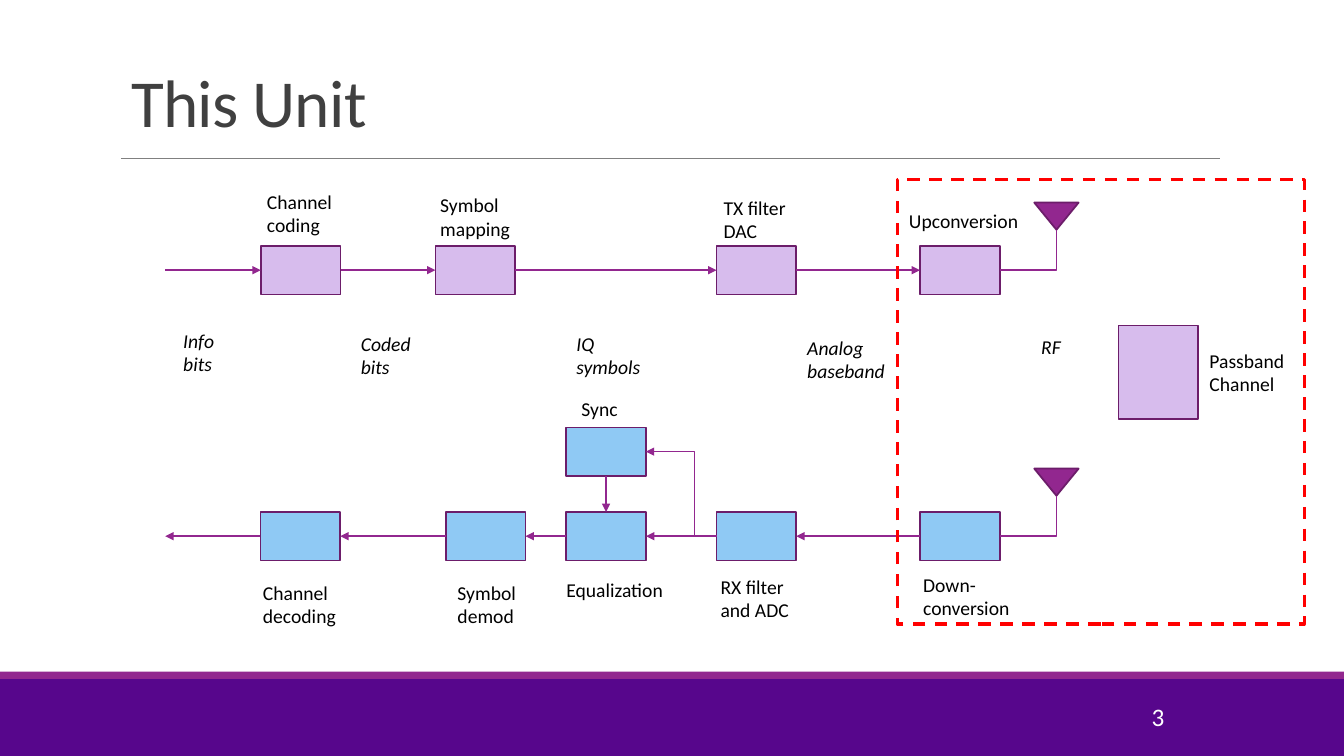
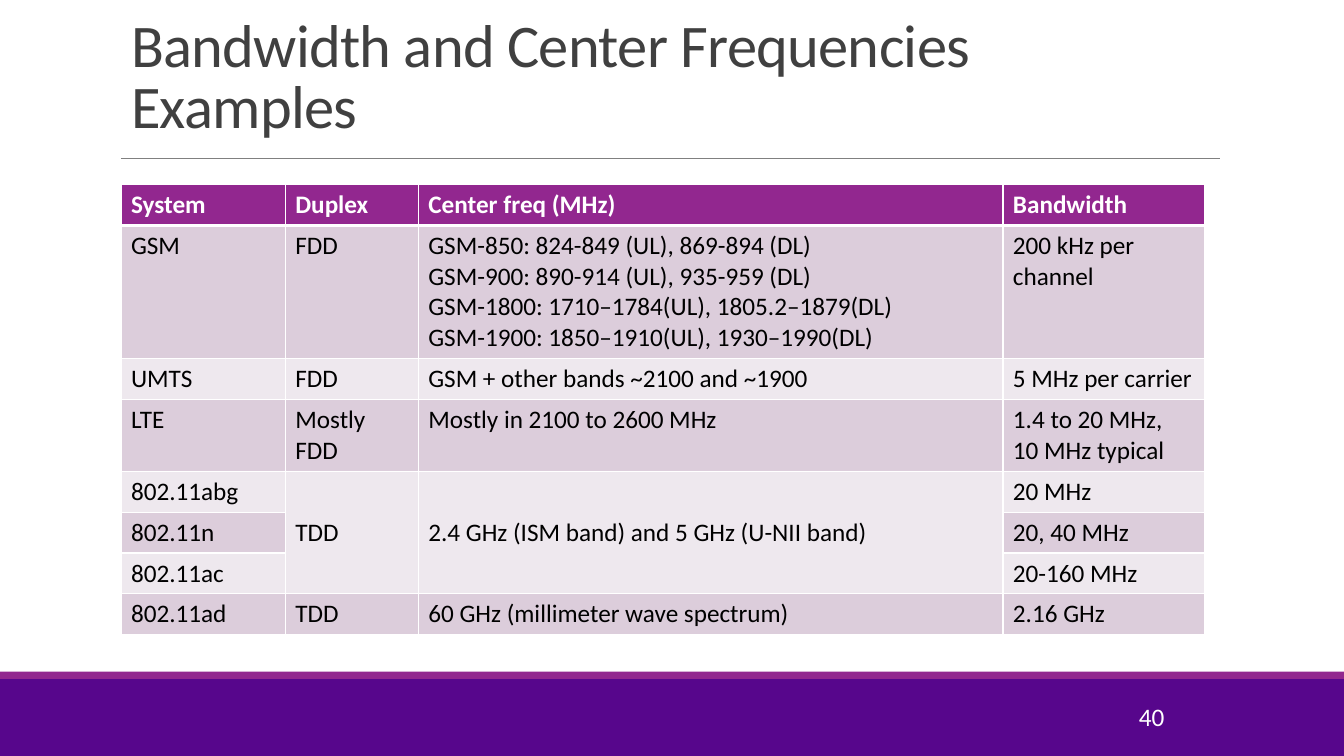
from lxml import etree
from pptx import Presentation
from pptx.dml.color import RGBColor
from pptx.enum import dml, shapes, text
from pptx.oxml import ns
from pptx.util import Pt

# Shared colours and type
WHITE = RGBColor(0xFF, 0xFF, 0xFF)
BLACK = RGBColor(0x00, 0x00, 0x00)
TITLE_GRAY = RGBColor(0x40, 0x40, 0x40)
RULE_GRAY = RGBColor(0x80, 0x80, 0x80)
DEEP_PURPLE = RGBColor(0x57, 0x06, 0x8C)
PURPLE = RGBColor(0x92, 0x27, 0x8F)
OUTLINE = RGBColor(0x6C, 0x1D, 0x6A)
LILAC = RGBColor(0xD7, 0xBC, 0xED)
SKY = RGBColor(0x8F, 0xC9, 0xF4)
RED = RGBColor(0xFF, 0x00, 0x00)
BANDS = (RGBColor(0xDC, 0xCD, 0xDB), RGBColor(0xEE, 0xE8, 0xEE))
FONT = "Calibri"

# Diagram grid, in points
BOX_WIDTH, BOX_HEIGHT = 57, 34.6
TRANSMIT_Y, RECEIVE_Y, SYNC_Y = 193, 383, 322.6
LINE_START_X = 118
ANTENNA_X, ANTENNA_WIDTH, ANTENNA_HEIGHT, FEED_HEIGHT = 754.6, 31.7, 19.4, 28.9
TOP, LEFT, BOTTOM, RIGHT = range(4)  # connection sites of a rectangle

TRANSMIT_BOXES = {"coding": 186.3, "mapping": 311, "filter": 511.8, "upconversion": 657.2}
RECEIVE_BOXES = {"downconversion": 657.2, "filter": 511.8, "equalization": 404.4,
                 "demod": 318.4, "decoding": 186}

# Text, left, top, width
BLOCK_LABELS = [
    ("Channel coding", 183.6, 131.8, 75.6),
    ("Symbol\vmapping", 307.4, 134.6, 64.8),
    ("TX filter DAC", 509.8, 136.1, 74.2),
    ("Upconversion", 642.2, 145.4, 92.9),
    ("Passband\nChannel", 856.8, 245.5, 92.9),
    ("Down-conversion", 652.3, 405.4, 92.9),
    ("RX filter\vand ADC", 507.6, 406.8, 92.9),
    ("Sync", 408.2, 280.1, 92.9),
    ("Equalization", 397.4, 409, 92.9),
    ("Symbol\vdemod", 319.7, 411.1, 68.4),
    ("Channel\vdecoding", 180.7, 411.1, 68.4),
]
SIGNAL_LABELS = [
    ("Info bits", 123.8, 231.1, 56.2),
    ("Coded bits", 250.6, 233.3, 56.2),
    ("IQ symbols", 404.6, 233.3, 68.4),
    ("Analog baseband", 569.5, 236.2, 74.9),
    ("RF", 736.6, 235.4, 41),
]

# Frequency table
COLUMN_WIDTHS = (117.4, 95, 417.6, 144)
ROW_HEIGHT, LINE_HEIGHT = 29.2, 22
FREQUENCY_ROWS = [
    ("System", "Duplex", "Center freq (MHz)", "Bandwidth"),
    ("GSM", "FDD",
     "GSM-850: 824-849 (UL), 869-894 (DL)\n"
     "GSM-900: 890-914 (UL), 935-959 (DL)\n"
     "GSM-1800: 1710–1784(UL), 1805.2–1879(DL)\n"
     "GSM-1900: 1850–1910(UL), 1930–1990(DL)", "200 kHz per channel"),
    ("UMTS", "FDD", "GSM + other bands ~2100 and ~1900", "5 MHz per carrier"),
    ("LTE", "Mostly FDD", "Mostly in 2100 to 2600 MHz", "1.4 to 20 MHz,\n10 MHz typical"),
    ("802.11abg", "TDD", "2.4 GHz (ISM band) and 5 GHz (U-NII band)", "20 MHz"),
    ("802.11n", "", "", "20, 40 MHz"),
    ("802.11ac", "", "", "20-160 MHz"),
    ("802.11ad", "TDD", "60 GHz (millimeter wave spectrum)", "2.16 GHz"),
]
MERGED_ROWS, MERGED_COLUMNS = (4, 6), (1, 2)


def set_attributes(target, values):
    for name, value in values.items():
        setattr(target, name, value)


def write_text(frame, content, color, paragraph_format=None, **font_format):
    """Fill a text frame; a newline starts a paragraph, a vertical tab a line."""
    frame.text = content
    for paragraph in frame.paragraphs:
        set_attributes(paragraph, paragraph_format or {})
        for run in paragraph.runs:
            set_attributes(run.font, {"name": FONT, **font_format})
            run.font.color.rgb = color


def add_text(slide, content, left, top, width, height, color, anchor=text.MSO_ANCHOR.TOP,
             paragraph_format=None, **font_format):
    frame = slide.shapes.add_textbox(Pt(left), Pt(top), Pt(width), Pt(height)).text_frame
    set_attributes(frame, {"word_wrap": True, "vertical_anchor": anchor})
    write_text(frame, content, color, paragraph_format, **font_format)


def add_shape(slide, left, top, width, height, fill=None, line=None, line_width=1.25,
              kind=shapes.MSO_SHAPE.RECTANGLE):
    shape = slide.shapes.add_shape(kind, Pt(left), Pt(top), Pt(width), Pt(height))
    shape.shadow.inherit = False
    if fill is None:
        shape.fill.background()
    else:
        shape.fill.solid()
        shape.fill.fore_color.rgb = fill
    if line is None:
        shape.line.fill.background()
    else:
        shape.line.color.rgb = line
        shape.line.width = Pt(line_width)
    return shape


def add_line(slide, begin=(0, 0), end=(0, 0), color=PURPLE, width=1, arrow=None, bent=False):
    """Draw a line; arrow is None, "headEnd" (at begin) or "tailEnd" (at end)."""
    kind = shapes.MSO_CONNECTOR.ELBOW if bent else shapes.MSO_CONNECTOR.STRAIGHT
    connector = slide.shapes.add_connector(kind, *(Pt(value) for value in (*begin, *end)))
    connector.line.color.rgb = color
    connector.line.width = Pt(width)
    properties = connector._element.spPr
    if bent:  # a single corner: across, then up or down
        properties.find(ns.qn("a:prstGeom")).set("prst", "bentConnector2")
    if arrow:
        etree.SubElement(connector.line._get_or_add_ln(), ns.qn("a:" + arrow), type="triangle")
    etree.SubElement(properties, ns.qn("a:effectLst"))
    return connector


def link(slide, source, source_site, target, target_site):
    connector = add_line(slide, arrow="tailEnd")
    connector.begin_connect(source, source_site)
    connector.end_connect(target, target_site)


def add_box(slide, left, center_y, fill, height=BOX_HEIGHT):
    return add_shape(slide, left, center_y - height / 2, BOX_WIDTH, height, fill, OUTLINE)


def add_antenna(slide, box_left, center_y):
    tip_y = center_y - FEED_HEIGHT
    antenna = add_shape(slide, ANTENNA_X - ANTENNA_WIDTH / 2, tip_y - ANTENNA_HEIGHT,
                        ANTENNA_WIDTH, ANTENNA_HEIGHT, PURPLE, OUTLINE,
                        kind=shapes.MSO_SHAPE.ISOSCELES_TRIANGLE)
    antenna.rotation = 180
    add_line(slide, (box_left + BOX_WIDTH, center_y), (ANTENNA_X, tip_y), bent=True)


def add_chain(slide, lefts, center_y, fill, out_site, in_site):
    """Draw a row of boxes, each linked to the next one."""
    boxes = {name: add_box(slide, left, center_y, fill) for name, left in lefts.items()}
    row = list(boxes.values())
    for source, target in zip(row, row[1:]):
        link(slide, source, out_site, target, in_site)
    return boxes


def add_slide(presentation, title, number, title_size):
    """Add a slide with the common bands, rule, title and number."""
    slide = presentation.slides.add_slide(presentation.slide_layouts[5])
    add_shape(slide, 0, 485, 960, 55, DEEP_PURPLE)
    add_shape(slide, 0, 479.8, 960, 5.2, PURPLE)
    add_line(slide, (86.4, 113), (871.2, 113), RULE_GRAY, 0.5)

    placeholder = slide.shapes.title
    set_attributes(placeholder, {"left": Pt(86.4), "top": Pt(22.3),
                                 "width": Pt(792), "height": Pt(82.1)})
    frame = placeholder.text_frame
    set_attributes(frame, {"word_wrap": True, "auto_size": text.MSO_AUTO_SIZE.NONE,
                           "vertical_anchor": text.MSO_ANCHOR.BOTTOM})
    write_text(frame, title, TITLE_GRAY,
               {"alignment": text.PP_ALIGN.LEFT, "line_spacing": 0.85}, size=Pt(title_size))
    for run in frame.paragraphs[0].runs:
        run.font._element.set("spc", "-50")

    add_text(slide, number, 735.8, 497.5, 103, 28.8, WHITE, text.MSO_ANCHOR.MIDDLE,
             {"alignment": text.PP_ALIGN.RIGHT}, size=Pt(18))
    return slide


def build_diagram(slide):
    # Transmit chain
    transmit = add_chain(slide, TRANSMIT_BOXES, TRANSMIT_Y, LILAC, RIGHT, LEFT)
    add_line(slide, (LINE_START_X, TRANSMIT_Y), (TRANSMIT_BOXES["coding"], TRANSMIT_Y),
             arrow="tailEnd")
    add_antenna(slide, TRANSMIT_BOXES["upconversion"], TRANSMIT_Y)
    add_box(slide, 799, 266, LILAC, height=67)

    # Receive chain, running right to left
    receive = add_chain(slide, RECEIVE_BOXES, RECEIVE_Y, SKY, LEFT, RIGHT)
    add_line(slide, (RECEIVE_BOXES["decoding"], RECEIVE_Y), (LINE_START_X, RECEIVE_Y),
             arrow="tailEnd")
    add_antenna(slide, RECEIVE_BOXES["downconversion"], RECEIVE_Y)

    # Synchronization branch
    sync_left = RECEIVE_BOXES["equalization"]
    sync = add_box(slide, sync_left, SYNC_Y, SKY)
    link(slide, sync, BOTTOM, receive["equalization"], TOP)
    add_line(slide, (sync_left + BOX_WIDTH, SYNC_Y), (496.2, RECEIVE_Y),
             arrow="headEnd", bent=True)

    # Labels and highlighted part
    for labels, italic in ((BLOCK_LABELS, False), (SIGNAL_LABELS, True)):
        for content, left, top, width in labels:
            add_text(slide, content, left, top, width, 41, BLACK, size=Pt(14), italic=italic)
    highlight = add_shape(slide, 640.8, 128.2, 290.9, 317.5, line=RED, line_width=2.25)
    highlight.line.dash_style = dml.MSO_LINE.DASH


def set_borders(cell, widths):
    """Give a cell white borders; widths maps L, R, T and B to points."""
    properties = cell._tc.get_or_add_tcPr()
    for position, (side, width) in enumerate(widths.items()):
        border = etree.Element(ns.qn("a:ln" + side), w=str(Pt(width)))
        fill = etree.SubElement(border, ns.qn("a:solidFill"))
        etree.SubElement(fill, ns.qn("a:srgbClr"), val=str(WHITE))
        properties.insert(position, border)


def add_frequency_table(slide):
    row_count, column_count = len(FREQUENCY_ROWS), len(COLUMN_WIDTHS)
    table = slide.shapes.add_table(row_count, column_count, Pt(86.4), Pt(131.8),
                                   Pt(sum(COLUMN_WIDTHS)), Pt(ROW_HEIGHT * row_count)).table
    table.horz_banding = False
    for column, width in zip(table.columns, COLUMN_WIDTHS):
        column.width = Pt(width)

    first, last = MERGED_ROWS
    for column in MERGED_COLUMNS:
        table.cell(first, column).merge(table.cell(last, column))
        table.cell(first, column).vertical_anchor = text.MSO_ANCHOR.MIDDLE

    for row, contents in enumerate(FREQUENCY_ROWS):
        header = row == 0
        extra_lines = max(content.count("\n") for content in contents)
        table.rows[row].height = Pt(ROW_HEIGHT + LINE_HEIGHT * extra_lines)
        for column, content in enumerate(contents):
            cell = table.cell(row, column)
            band_row = first if cell.is_spanned else row
            cell.fill.solid()
            cell.fill.fore_color.rgb = PURPLE if header else BANDS[(band_row - 1) % 2]
            set_borders(cell, {"L": 1, "R": 1, "T": 3 if row == 1 else 1, "B": 3 if header else 1})
            if content:
                write_text(cell.text_frame, content, WHITE if header else BLACK,
                           size=Pt(18), bold=header)


def main():
    presentation = Presentation()
    set_attributes(presentation, {"slide_width": Pt(960), "slide_height": Pt(540)})
    build_diagram(add_slide(presentation, "This Unit", "3", 48))
    add_frequency_table(add_slide(
        presentation, "Bandwidth and Center Frequencies\vExamples", "40", 43.2))
    presentation.save("out.pptx")


if __name__ == "__main__":
    main()
